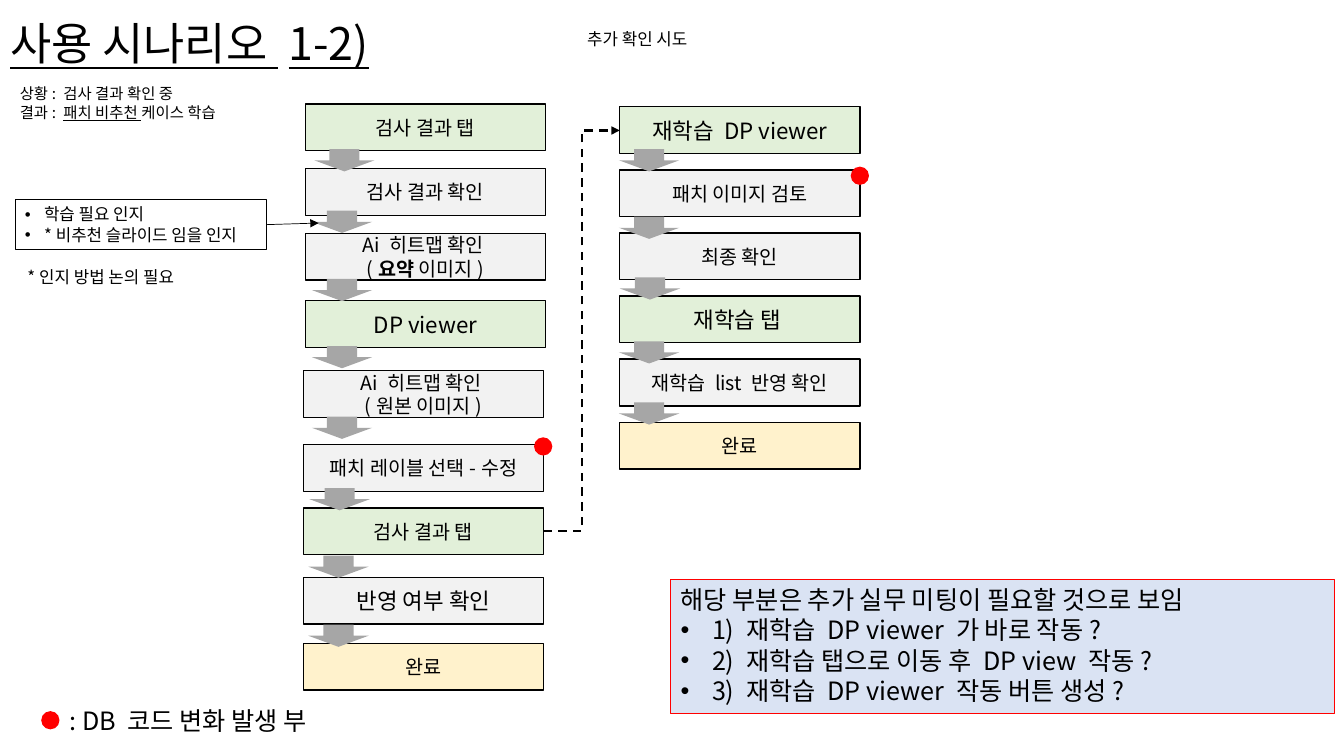
from dataclasses import dataclass

from lxml import etree
from pptx import Presentation
from pptx import util as u
from pptx.dml.color import RGBColor
from pptx.enum import dml, shapes, text
from pptx.oxml.ns import qn
from pptx.util import Cm


@dataclass(frozen=True)
class Theme:
    font: str = "Noto Sans CJK KR"
    ink: str = "000000"
    screen: str = "E2F0D9"
    action: str = "F2F2F2"
    done: str = "FFF2CC"
    arrow: str = "A6A6A6"
    marker: str = "FF0000"
    panel: str = "DAE3F3"
    title: int = 32
    large: int = 18
    step_large: int = 16
    step: int = 14
    note: int = 12
    small: int = 11


THEME = Theme()
BOX_WIDTH, BOX_HEIGHT = 6.05, 1.18
ARROW_WIDTH, ARROW_HEIGHT = 1.52, 0.56
DOT_SIZE = 0.46
RIGHT_LEFT, RIGHT_TOP, RIGHT_PITCH = 15.62, 2.69, 1.59

# text, fill, type size, left, top
LEFT_STEPS = [
    ("검사 결과 탭", THEME.screen, THEME.step, 7.7, 2.62),
    ("검사 결과 확인", THEME.action, THEME.step, 7.7, 4.25),
    (["Ai 히트맵 확인 \n(", ("요약", {"bold": True}), " 이미지)"],
     THEME.action, THEME.step, 7.7, 5.88),
    ("DP viewer", THEME.screen, THEME.step_large, 7.7, 7.58),
    ("Ai 히트맵 확인 \n(원본 이미지)", THEME.action, THEME.step, 7.65, 9.34),
    ("패치 레이블 선택-수정", THEME.action, THEME.step, 7.65, 11.2),
    ("검사 결과 탭", THEME.screen, THEME.step, 7.65, 12.8),
    ("반영 여부 확인", THEME.action, THEME.step_large, 7.65, 14.55),
    ("완료", THEME.done, THEME.step, 7.65, 16.21),
]
RIGHT_STEPS = [
    ("재학습 DP viewer", THEME.screen, THEME.step_large),
    ("패치 이미지 검토", THEME.action, THEME.step),
    ("최종 확인", THEME.action, THEME.step),
    ("재학습 탭 ", THEME.screen, THEME.step_large),
    ("재학습 list 반영 확인", THEME.action, THEME.step),
    ("완료", THEME.done, THEME.step),
]
ARROWS = [
    (7.92, 3.76), (7.86, 5.31), (7.86, 7.03), (7.86, 8.72),
    (7.86, 10.5), (7.8, 12.3), (7.77, 14), (7.77, 15.74),
    (15.6, 3.76), (15.6, 5.46), (15.62, 6.99), (15.6, 8.6), (15.6, 10.14),
]
DOTS = [(1.04, 17.92), (21.44, 4.2), (13.46, 11.02)]


def rgb(color):
    return RGBColor.from_string(color)


def set_bullet(paragraph, indent):
    """Hang a round bullet by indent cm; an indent of 0 means no bullet."""
    properties = paragraph._p.get_or_add_pPr()
    properties.set("marL", str(Cm(indent)))
    properties.set("indent", str(-Cm(indent)))
    if indent:
        etree.SubElement(properties, qn("a:buFont")).set("typeface", "Arial")
        etree.SubElement(properties, qn("a:buChar")).set("char", "•")
    else:
        etree.SubElement(properties, qn("a:buNone"))


def add_run(paragraph, content, size, bold=False, underline=False):
    run = paragraph.add_run()
    run.text = content
    font = run.font
    font.name, font.size = THEME.font, u.Pt(size)
    font.bold, font.underline = bold, underline
    font.color.rgb = rgb(THEME.ink)
    east_asian = etree.SubElement(font._element, qn("a:ea"))
    east_asian.set("typeface", THEME.font)


def write_text(shape, paragraphs, size, align=text.PP_ALIGN.LEFT,
               anchor=text.MSO_ANCHOR.TOP, wrap=True, indent=0,
               plain_first=False, underline=False):
    """Each paragraph is a string, or a list of strings and (string, format)."""
    frame = shape.text_frame
    frame.auto_size = text.MSO_AUTO_SIZE.NONE
    frame.word_wrap, frame.vertical_anchor = wrap, anchor
    for index, pieces in enumerate(paragraphs):
        paragraph = frame.paragraphs[0] if index == 0 else frame.add_paragraph()
        paragraph.alignment = align
        paragraph.space_before = u.Pt(0)
        set_bullet(paragraph, 0 if plain_first and index == 0 else indent)
        for piece in [pieces] if isinstance(pieces, str) else pieces:
            content, style = (piece, {}) if isinstance(piece, str) else piece
            for number, line in enumerate(content.split("\n")):
                if number:
                    paragraph.add_line_break()
                    line_break = paragraph._p.findall(qn("a:br"))[-1]
                    properties = etree.SubElement(line_break, qn("a:rPr"))
                    properties.set("sz", str(size * 100))
                add_run(paragraph, line, size, **{"underline": underline, **style})


def place(shape, left, top, width, height):
    shape.left, shape.top = Cm(left), Cm(top)
    shape.width, shape.height = Cm(width), Cm(height)


def paint(shape, fill=None, line=None, weight=1):
    if fill:
        shape.fill.solid()
        shape.fill.fore_color.rgb = rgb(fill)
    else:
        shape.fill.background()
    if line:
        shape.line.color.rgb = rgb(line)
        shape.line.width = u.Pt(weight)
    else:
        shape.line.fill.background()


def add_figure(slide, kind, left, top, width, height, **colors):
    shape = slide.shapes.add_shape(kind, Cm(left), Cm(top), Cm(width), Cm(height))
    shape.shadow.inherit = False
    paint(shape, **colors)
    return shape


def add_step(slide, content, fill, size, left, top):
    box = add_figure(slide, shapes.MSO_SHAPE.RECTANGLE, left, top,
                     BOX_WIDTH, BOX_HEIGHT, fill=fill, line=THEME.ink)
    write_text(box, [content], size, align=text.PP_ALIGN.CENTER,
               anchor=text.MSO_ANCHOR.MIDDLE)


def add_label(slide, paragraphs, size, left, top, width, height, **style):
    box = slide.shapes.add_textbox(Cm(left), Cm(top), Cm(width), Cm(height))
    write_text(box, paragraphs, size, **style)


def add_link(slide, kind, start, end, weight, dash=None):
    link = slide.shapes.add_connector(kind, *map(Cm, start + end))
    link.line.color.rgb = rgb(THEME.ink)
    link.line.width = u.Pt(weight)
    if dash:
        link.line.dash_style = dash
    etree.SubElement(link.line._get_or_add_ln(), qn("a:tailEnd")).set("type", "triangle")
    etree.SubElement(link._element.spPr, qn("a:effectLst"))


def main():
    presentation = Presentation()
    presentation.slide_width, presentation.slide_height = Cm(33.87), Cm(19.05)
    slide = presentation.slides.add_slide(presentation.slide_layouts[1])
    title, questions = slide.placeholders

    place(title, 0, 0.28, 14.55, 1.62)
    write_text(title, ["사용 시나리오 1-2)"], THEME.title, underline=True)
    place(questions, 16.9, 14.6, 16.72, 3.39)
    paint(questions, THEME.panel, THEME.marker, 0.75)
    write_text(questions, ["해당 부분은 추가 실무 미팅이 필요할 것으로 보임",
                           "1) 재학습 DP viewer 가 바로 작동?",
                           "2) 재학습 탭으로 이동 후 DP view 작동?",
                           "3) 재학습 DP viewer 작동 버튼 생성?"],
               THEME.large, indent=0.79, plain_first=True)

    add_label(slide, ["상황: 검사 결과 확인 중",
                      ["결과: ", ("패치 비추천 ", {"underline": True}), "케이스 학습"]],
              THEME.small, 0.25, 2, 12.34, 1.2)
    add_label(slide, ["추가 확인 시도"], THEME.note, 14.55, 0.6, 3.38, 0.77, wrap=False)
    add_label(slide, ["*인지 방법 논의 필요"], THEME.note, 0.44, 6.59, 5.13, 0.77)
    add_label(slide, [": DB 코드 변화 발생 부"], THEME.large, 1.5, 17.65, 8.66, 1.03)

    for step in LEFT_STEPS:
        add_step(slide, *step)
    for index, step in enumerate(RIGHT_STEPS):
        add_step(slide, *step, RIGHT_LEFT, RIGHT_TOP + index * RIGHT_PITCH)
    for left, top in ARROWS:
        add_figure(slide, shapes.MSO_SHAPE.DOWN_ARROW, left, top,
                   ARROW_WIDTH, ARROW_HEIGHT, fill=THEME.arrow)
    for left, top in DOTS:
        add_figure(slide, shapes.MSO_SHAPE.OVAL, left, top,
                   DOT_SIZE, DOT_SIZE, fill=THEME.marker)

    awareness = add_figure(slide, shapes.MSO_SHAPE.RECTANGLE, 0.38, 5.02, 6.35, 1.28,
                           line=THEME.ink, weight=0.75)
    write_text(awareness, ["학습 필요 인지", "*비추천 슬라이드 임을 인지"],
               THEME.note, indent=0.48)
    add_link(slide, shapes.MSO_CONNECTOR.STRAIGHT, (6.73, 5.66), (8.03, 5.62), 0.5)
    add_link(slide, shapes.MSO_CONNECTOR.ELBOW, (13.7, 13.39), (15.62, 3.29), 1.5,
             dash=dml.MSO_LINE.DASH)
    presentation.save("out.pptx")


if __name__ == "__main__":
    main()
